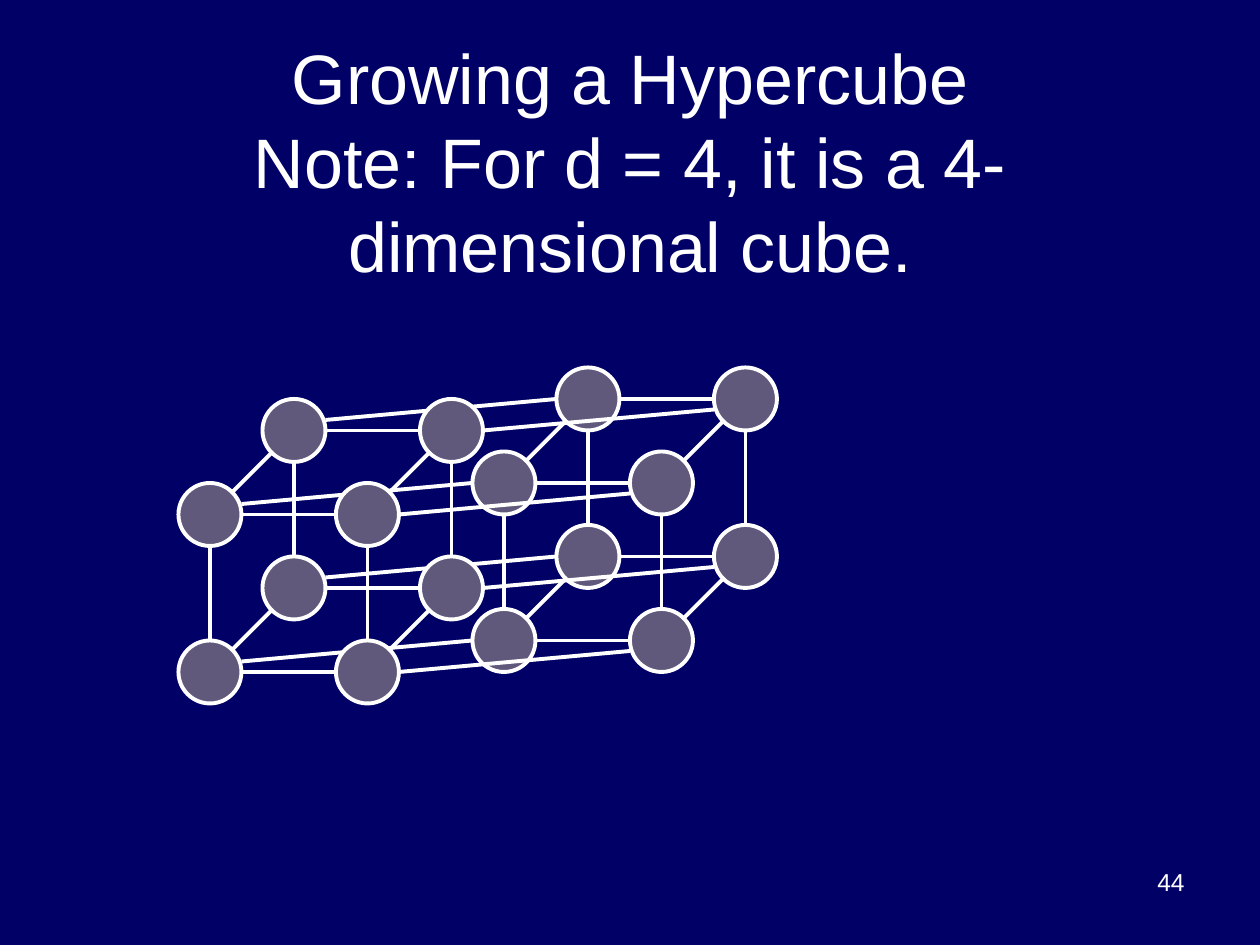
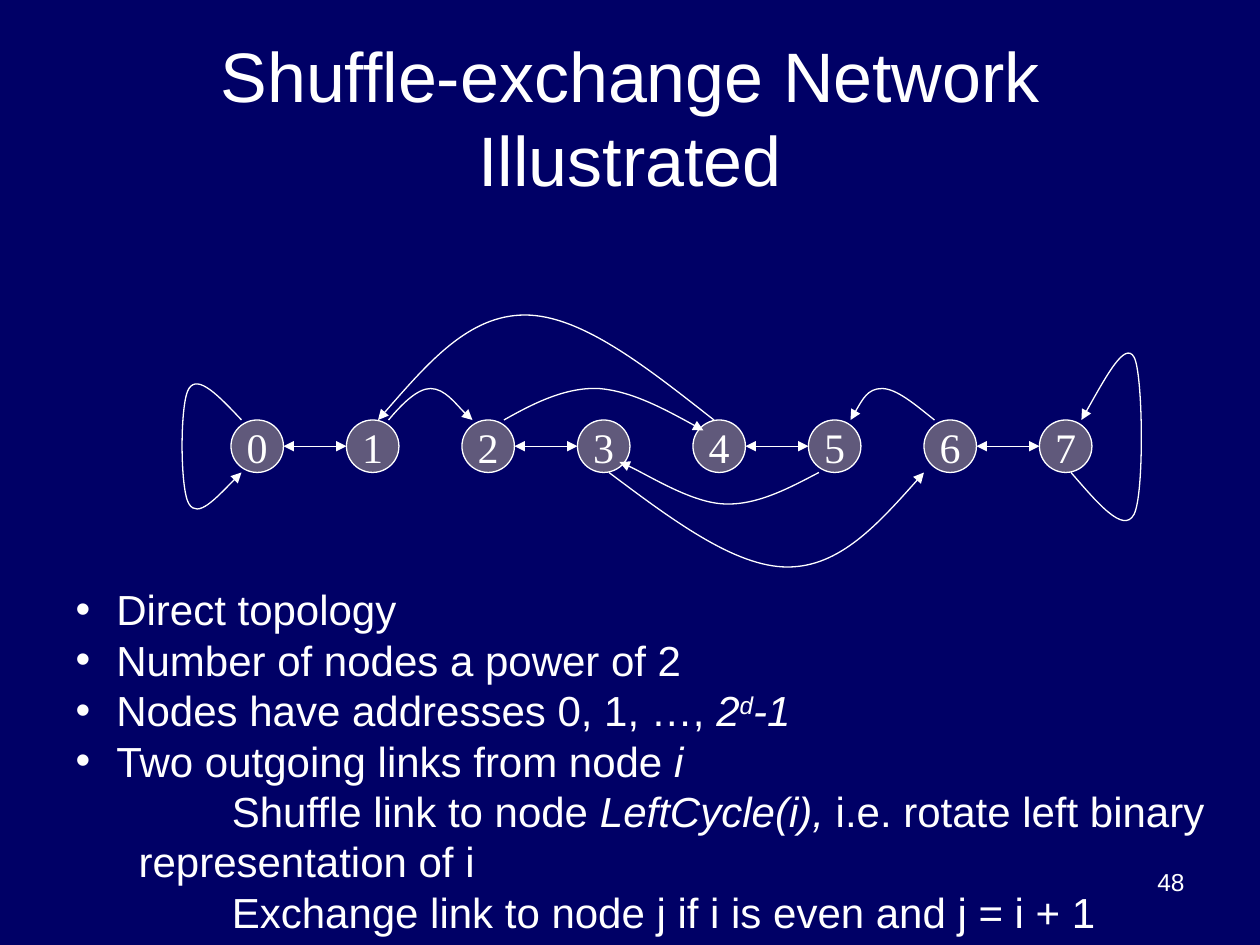
from itertools import product

from lxml import etree
from pptx import Presentation
from pptx.dml.color import RGBColor
from pptx.enum.shapes import MSO_CONNECTOR, MSO_SHAPE
from pptx.enum.text import MSO_ANCHOR, MSO_AUTO_SIZE, PP_ALIGN
from pptx.oxml.ns import qn
from pptx.util import Pt

# Shared look
PX = 9525  # EMU in one px, 96 px to the inch
NAVY = RGBColor(0x00, 0x00, 0x66)
WHITE = RGBColor(0xFF, 0xFF, 0xFF)
NODE_FILL = RGBColor(0x60, 0x59, 0x7B)
SANS, SERIF = "Arial", "Times New Roman"
LINE_PITCH = 1.2
TITLE_ONLY, TITLE_AND_BODY = 5, 1

# Hypercube: one step on the slide per dimension
CUBE_NODE = 48
CUBE_ORIGIN = (136, 488)
CUBE_STEPS = {"x": (120, 0), "y": (0, -120), "z": (64, -64), "w": (224, -24)}

# Shuffle-exchange row
ROW_LEFT, ROW_TOP, ROW_PITCH, ROW_NODE = 176, 320, 88, 40
SHUFFLE_LINKS = [  # a start point, then three points for each Bezier segment
    [(296, 320), (306, 308), (318, 296), (328, 296),
     (339, 296), (354, 316), (360, 320)],
    [(384, 320), (407, 307), (431, 295), (456, 296),
     (481, 298), (509, 313), (536, 328)],
    [(544, 320), (493, 280), (443, 240), (400, 240),
     (357, 240), (323, 280), (288, 320)],
    [(624, 360), (601, 372), (577, 385), (552, 384),
     (527, 383), (486, 357), (472, 352)],
    [(464, 360), (512, 396), (560, 432), (600, 432),
     (640, 432), (672, 396), (704, 360)],
    [(712, 320), (697, 308), (683, 296), (672, 296),
     (661, 296), (655, 308), (648, 320)],
    [(184, 320), (167, 302), (151, 285), (144, 296), (137, 306),
     (137, 373), (144, 384), (151, 395), (167, 377), (184, 360)],
    [(816, 360), (836, 383), (856, 407), (864, 392), (872, 377),
     (871, 284), (864, 272), (857, 260), (841, 290), (824, 320)],
]

# List: (level, runs), each run a text with an optional style
POINTS = [
    (0, [("Direct topology", "")]),
    (0, [("Number of nodes a power of 2", "")]),
    (0, [("Nodes have addresses 0, 1, …, ", ""), ("2", "italic"),
         ("d", "super"), ("-1", "italic")]),
    (0, [("Two outgoing links from node ", ""), ("i", "italic")]),
    (1, [("Shuffle link to node ", ""), ("LeftCycle(i), ", "italic"),
         ("i.e. rotate left binary representation of i", "")]),
    (1, [("Exchange link to node j if i is even and j = i + 1", "")]),
]
INDENTS = [(31, -31), (48, 71)]  # left margin and first line, by level


def emu(*lengths):
    return [n * PX for n in lengths]


def place(sp, x, y, w, h):
    sp.left, sp.top, sp.width, sp.height = emu(x, y, w, h)


def add_run(p, text, size, font=SANS, style=""):
    r = p.add_run()
    r.text = text
    r.font.name, r.font.size = font, Pt(size)
    r.font.color.rgb = WHITE
    if style:
        r.font.italic = True
    if style == "super":
        r.font._element.set("baseline", "30000")


def style_line(sp, width, arrows=()):
    sp.line.color.rgb = WHITE
    sp.line.width = Pt(width)
    ln = sp._element.spPr.find(qn("a:ln"))
    for end in arrows:
        etree.SubElement(ln, qn(f"a:{end}"), type="triangle")


def add_slide(prs, layout, title_lines, title_height, number):
    slide = prs.slides.add_slide(prs.slide_layouts[layout])
    # Title
    title = slide.shapes.title
    place(title, 48, 29, 864, title_height)
    tf = title.text_frame
    tf.auto_size = MSO_AUTO_SIZE.NONE
    tf.vertical_anchor = MSO_ANCHOR.MIDDLE
    p = tf.paragraphs[0]
    p.alignment = PP_ALIGN.CENTER
    p.line_spacing = Pt(40 * LINE_PITCH)
    for i, line in enumerate(title_lines):
        if i:
            p.add_line_break()
        add_run(p, line, 40)
    # Slide number
    box = slide.shapes.add_textbox(*emu(688, 656, 224, 50))
    box.text_frame.word_wrap = True
    p = box.text_frame.paragraphs[0]
    p.alignment = PP_ALIGN.RIGHT
    add_run(p, str(number), 14)
    return slide


def add_node(slide, x, y, size, line_width, label=""):
    sp = slide.shapes.add_shape(MSO_SHAPE.OVAL, *emu(x, y, size, size))
    sp.shadow.inherit = False
    sp.fill.solid()
    sp.fill.fore_color.rgb = NODE_FILL
    style_line(sp, line_width)
    if label:
        tf = sp.text_frame
        tf.word_wrap = False
        tf.vertical_anchor = MSO_ANCHOR.MIDDLE
        p = tf.paragraphs[0]
        p.alignment = PP_ALIGN.CENTER
        add_run(p, label, 24, SERIF)


def add_link(slide, start, end, width, arrows=()):
    sp = slide.shapes.add_connector(MSO_CONNECTOR.STRAIGHT, *emu(*start, *end))
    style_line(sp, width, arrows)
    etree.SubElement(sp._element.spPr, qn("a:effectLst"))


def add_curve(slide, points):
    builder = slide.shapes.build_freeform(*points[0], scale=float(PX))
    builder.add_line_segments(points[1:], close=False)
    sp = builder.convert_to_shape()
    # Turn every three line segments into one Bezier segment
    path = sp._element.find(f".//{qn('a:path')}")
    segments = path.findall(qn("a:lnTo"))
    for i in range(0, len(segments), 3):
        bezier = etree.SubElement(path, qn("a:cubicBezTo"))
        for segment in segments[i:i + 3]:
            bezier.append(segment[0])
            path.remove(segment)
    sp.shadow.inherit = False
    sp.fill.background()
    style_line(sp, 0.75, ["tailEnd"])


def add_list(slide, points):
    body = slide.placeholders[1]
    place(body, 48, 440, 880, 280)
    tf = body.text_frame
    tf.auto_size = MSO_AUTO_SIZE.NONE
    tf.vertical_anchor = MSO_ANCHOR.TOP
    for i, (level, runs) in enumerate(points):
        p = tf.add_paragraph() if i else tf.paragraphs[0]
        p.level = level
        pPr = p._p.get_or_add_pPr()
        margin, first = emu(*INDENTS[level])
        pPr.set("marL", str(margin))
        pPr.set("indent", str(first))
        if level:
            etree.SubElement(pPr, qn("a:buNone"))
        else:
            color = etree.SubElement(pPr, qn("a:buClr"))
            etree.SubElement(color, qn("a:srgbClr"), val=str(WHITE))
            etree.SubElement(pPr, qn("a:buChar"), char="•")
        p.space_before = Pt(0)
        p.line_spacing = Pt(24 * LINE_PITCH)
        for text, style in runs:
            add_run(p, text, 24, style=style)


def corner(x, y, z, w):
    steps = list(zip((x, y, z, w), CUBE_STEPS.values()))
    return tuple(CUBE_ORIGIN[i] + sum(bit * step[i] for bit, step in steps)
                 for i in (0, 1))


def add_edge(slide, a, b, port_a, port_b):
    """Join two corners at ports measured from each node's top left."""
    ends = [(cx + px, cy + py)
            for (cx, cy), (px, py) in ((corner(*a), port_a), (corner(*b), port_b))]
    add_link(slide, *ends, 2.25)


def add_cube(slide, w):
    mid, full = CUBE_NODE // 2, CUBE_NODE
    for z in (1, 0):  # back face first
        for x, y in product((1, 0), repeat=2):
            add_node(slide, *corner(x, y, z, w), CUBE_NODE, 2.25)
        for i in (0, 1):
            add_edge(slide, (0, i, z, w), (1, i, z, w), (full, mid), (0, mid))
            add_edge(slide, (i, 1, z, w), (i, 0, z, w), (mid, full), (mid, 0))
    for x, y in product((0, 1), repeat=2):
        add_edge(slide, (x, y, 0, w), (x, y, 1, w), (40, 8), (8, 40))


def add_cube_links(slide, x):
    """Join the two cubes along their left (0) or right (1) side."""
    for y, z in product((1, 0), repeat=2):
        add_edge(slide, (x, y, z, 0), (x, y, z, 1),
                 (CUBE_NODE, 16 + 8 * x), (0, 24 + 8 * x))


def hypercube_slide(prs):
    lines = ["Growing a Hypercube", "Note: For d = 4, it is a 4-dimensional cube."]
    slide = add_slide(prs, TITLE_ONLY, lines, 187, 44)
    add_cube_links(slide, 0)
    add_cube(slide, 0)
    add_cube(slide, 1)
    add_cube_links(slide, 1)


def shuffle_exchange_slide(prs):
    slide = add_slide(prs, TITLE_AND_BODY,
                      ["Shuffle-exchange Network Illustrated"], 120, 48)
    lefts = [ROW_LEFT + i * ROW_PITCH for i in range(8)]
    for i, x in enumerate(lefts):
        add_node(slide, x, ROW_TOP, ROW_NODE, 0.75, str(i))
    # Exchange links between even nodes and their right neighbours
    y = ROW_TOP + ROW_NODE // 2
    for even, odd in zip(lefts[::2], lefts[1::2]):
        add_link(slide, (even + ROW_NODE, y), (odd, y), 0.75,
                 ["headEnd", "tailEnd"])
    for points in SHUFFLE_LINKS:
        add_curve(slide, points)
    add_list(slide, POINTS)


def main():
    prs = Presentation()
    prs.slide_width, prs.slide_height = emu(960, 720)
    fill = prs.slide_master.background.fill
    fill.solid()
    fill.fore_color.rgb = NAVY
    hypercube_slide(prs)
    shuffle_exchange_slide(prs)
    prs.save("out.pptx")


if __name__ == "__main__":
    main()
